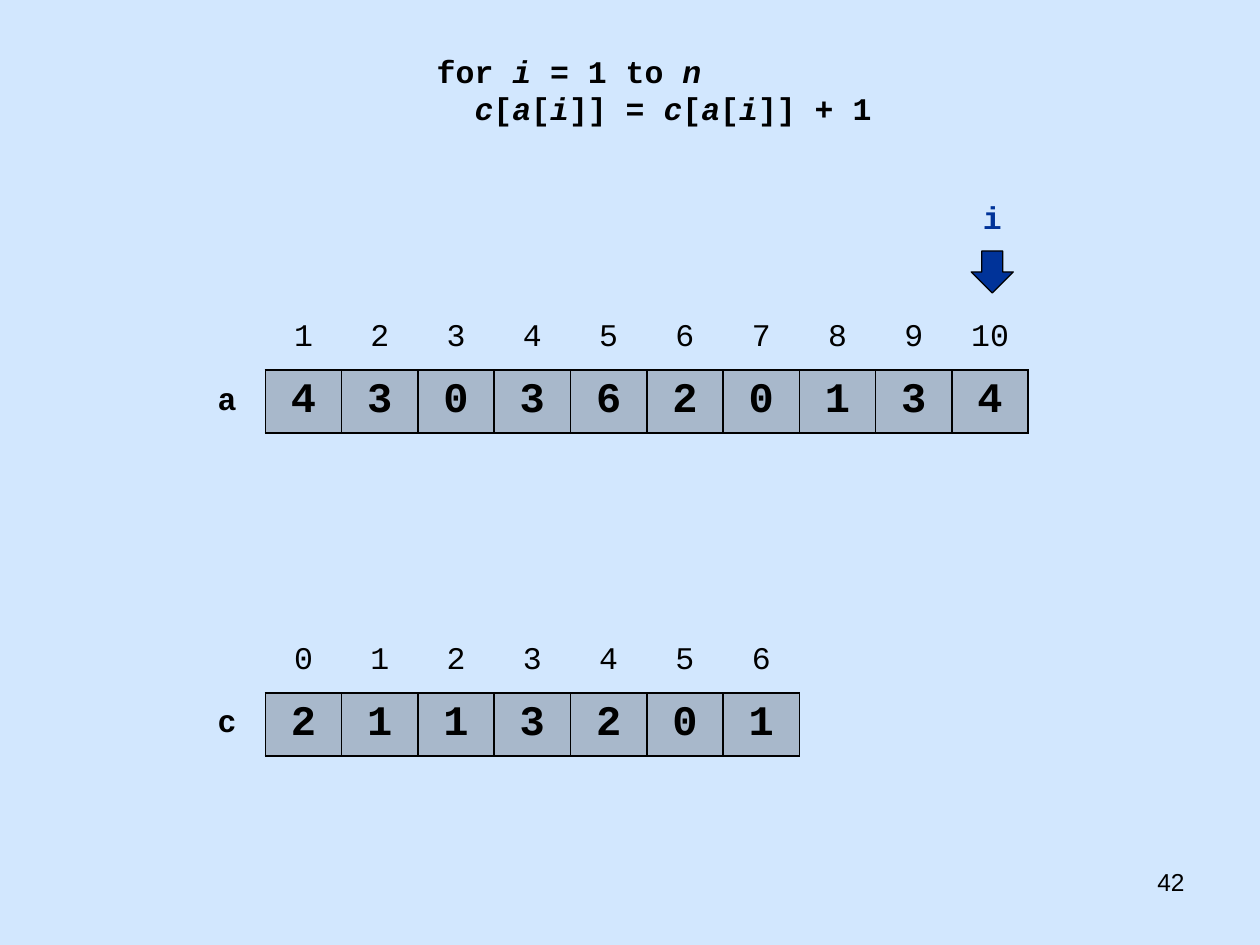
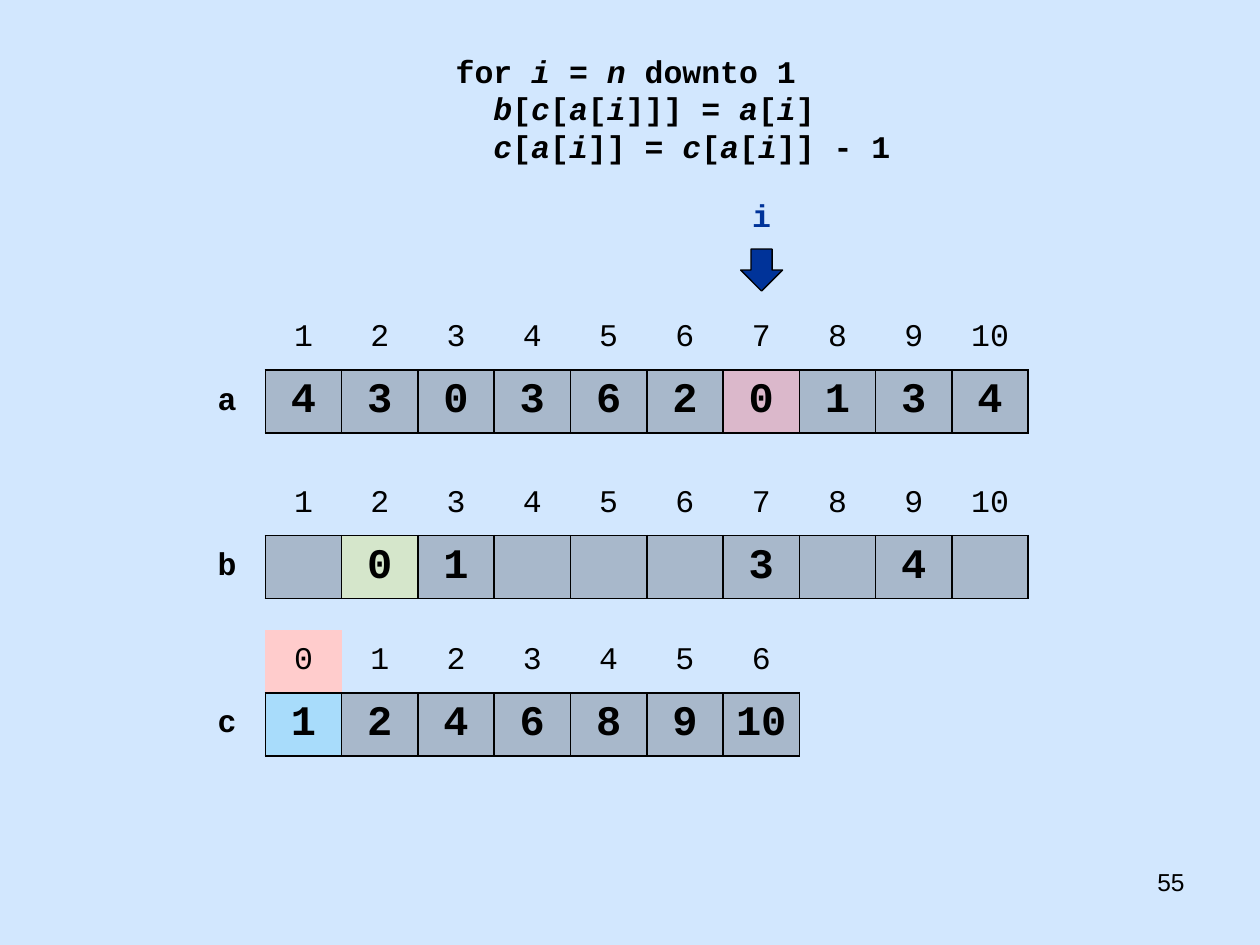
from lxml import etree
from pptx import Presentation
from pptx.dml.color import RGBColor
from pptx.enum import shapes, text
from pptx.oxml import ns
from pptx.util import Pt

BACKGROUND = RGBColor(0xD2, 0xE7, 0xFE)
BLACK = RGBColor(0, 0, 0)
NAVY = RGBColor(0x00, 0x33, 0x99)
RED = RGBColor(0xFF, 0, 0)
YELLOW = RGBColor(0xE5, 0xE5, 0)
BLUE = RGBColor(0x00, 0xB0, 0xF0)
PINK = RGBColor(0xFF, 0xCC, 0xCC)

MONO = "Courier New"
NO_STYLE = "{2D5ABB26-0587-4C30-8999-92F81FD0307C}"
LEFT, CELL_W, CELL_H = 108, 43.62, 36

# Array name: top, first index
ARRAYS = {"a": (175.5, 1), "b": (270, 1), "c": (360, 0)}
A_VALUES = "4 3 0 3 6 2 0 1 3 4".split()

# Asterisks enclose the italic variables; highlights map (array, row, index)
SLIDES = [
    dict(number="42", pointer=(567, 109.4),
         code=["for *i* = 1 to *n*",
               "  *c*[*a*[*i*]] = *c*[*a*[*i*]] + 1"],
         values={"a": A_VALUES, "c": "2 1 1 3 2 0 1".split()},
         highlights={}),
    dict(number="55", pointer=(435.2, 108.3),
         code=[" for *i* = *n* downto 1",
               "   *b*[*c*[*a*[*i*]]] = *a*[*i*]",
               "   *c*[*a*[*i*]] = *c*[*a*[*i*]] - 1"],
         values={"a": A_VALUES,
                 "b": ["", "0", "1", "", "", "", "3", "", "4", ""],
                 "c": "1 2 4 6 8 9 10".split()},
         highlights={("a", 1, 7): RED, ("b", 1, 2): YELLOW,
                     ("c", 0, 0): PINK, ("c", 1, 0): BLUE}),
]


def write(tf, lines, size, font=MONO, color=BLACK, bold=False, align=None):
    """Write lines, setting the parts between asterisks in italics."""
    for n, line in enumerate(lines):
        p = tf.add_paragraph() if n else tf.paragraphs[0]
        p.alignment = align
        for k, part in enumerate(line.split("*")):
            if part:
                r = p.add_run()
                r.text = part
                r.font.name, r.font.size = font, Pt(size)
                r.font.color.rgb = color
                r.font.bold, r.font.italic = bold, k % 2 == 1


def style_cell(cell, fill, sides, translucent):
    """Fill a cell and draw 1 pt black lines on the given sides."""
    tcPr = cell._tc.get_or_add_tcPr()
    if fill is None:
        cell.fill.background()
    else:
        cell.fill.solid()
        cell.fill.fore_color.rgb = fill
        if translucent:
            clr = tcPr.find(".//" + ns.qn("a:srgbClr"))
            etree.SubElement(clr, ns.qn("a:alpha"), val="20000")
    for n, side in enumerate(sides):
        ln = etree.Element(ns.qn("a:ln" + side), w=str(Pt(1)))
        line_fill = etree.SubElement(ln, ns.qn("a:solidFill"))
        etree.SubElement(line_fill, ns.qn("a:srgbClr"), val=str(BLACK))
        tcPr.insert(n, ln)


prs = Presentation()
prs.slide_width, prs.slide_height = Pt(720), Pt(540)
center = text.PP_ALIGN.CENTER

for page in SLIDES:
    s = prs.slides.add_slide(prs.slide_layouts[6])
    s.background.fill.solid()
    s.background.fill.fore_color.rgb = BACKGROUND

    # Slide number
    tf = s.shapes.add_textbox(Pt(516), Pt(492), Pt(168), Pt(37.5)).text_frame
    tf.word_wrap = True
    write(tf, [page["number"]], 14, font="Arial", align=text.PP_ALIGN.RIGHT)

    # Pseudocode
    height = 7.2 + 21.8 * len(page["code"])
    tf = s.shapes.add_textbox(Pt(242.5), Pt(26), Pt(288), Pt(height)).text_frame
    tf.word_wrap = True
    write(tf, page["code"], 18, bold=True)

    # Arrays: a row of indices above a row of values
    for name, values in page["values"].items():
        top, first = ARRAYS[name]
        cols = len(values) + 1
        sp = s.shapes.add_table(2, cols, Pt(LEFT), Pt(top),
                                Pt(CELL_W * cols), Pt(CELL_H * 2))
        tbl = sp.table
        tbl.first_row = tbl.horz_banding = False
        tbl._tbl.tblPr.find(ns.qn("a:tableStyleId")).text = NO_STYLE
        for col in tbl.columns:
            col.width = Pt(CELL_W)
        rows = [[""] + [str(first + n) for n in range(len(values))],
                [name] + values]
        for i, row in enumerate(rows):
            for j, label in enumerate(row):
                cell = tbl.cell(i, j)
                cell.vertical_anchor = text.MSO_ANCHOR.MIDDLE
                is_value = i == 1 and j > 0
                write(cell.text_frame, [label], 24 if is_value else 18,
                      bold=i == 1, align=center)
                if is_value:
                    sides = "LRTB"
                elif j > 0:
                    sides = "B"
                else:
                    sides = "R" if i == 1 else ""
                fill = page["highlights"].get((name, i, first + j - 1),
                                              BLACK if is_value else None)
                style_cell(cell, fill, sides, translucent=is_value)

    # Loop pointer
    x, y = page["pointer"]
    tf = s.shapes.add_textbox(Pt(x - 75), Pt(y), Pt(150), Pt(29)).text_frame
    tf.word_wrap = True
    write(tf, ["i"], 18, color=NAVY, bold=True, align=center)
    sp = s.shapes.add_shape(shapes.MSO_SHAPE.DOWN_ARROW,
                            Pt(x - 12), Pt(y + 34), Pt(24), Pt(24))
    sp.shadow.inherit = False
    sp.fill.solid()
    sp.fill.fore_color.rgb = NAVY
    sp.line.color.rgb = BLACK
    sp.line.width = Pt(0.75)

prs.save("out.pptx")
